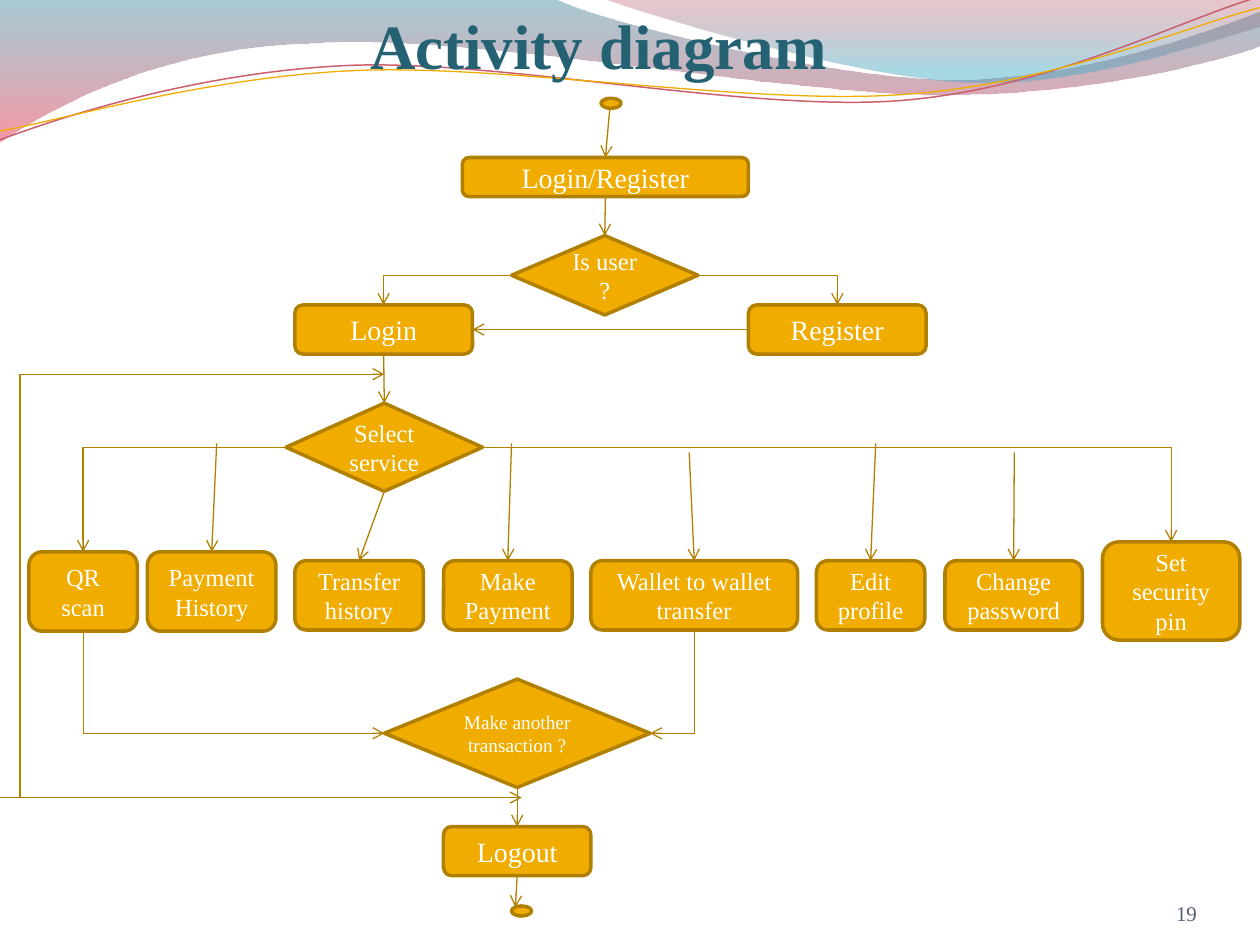
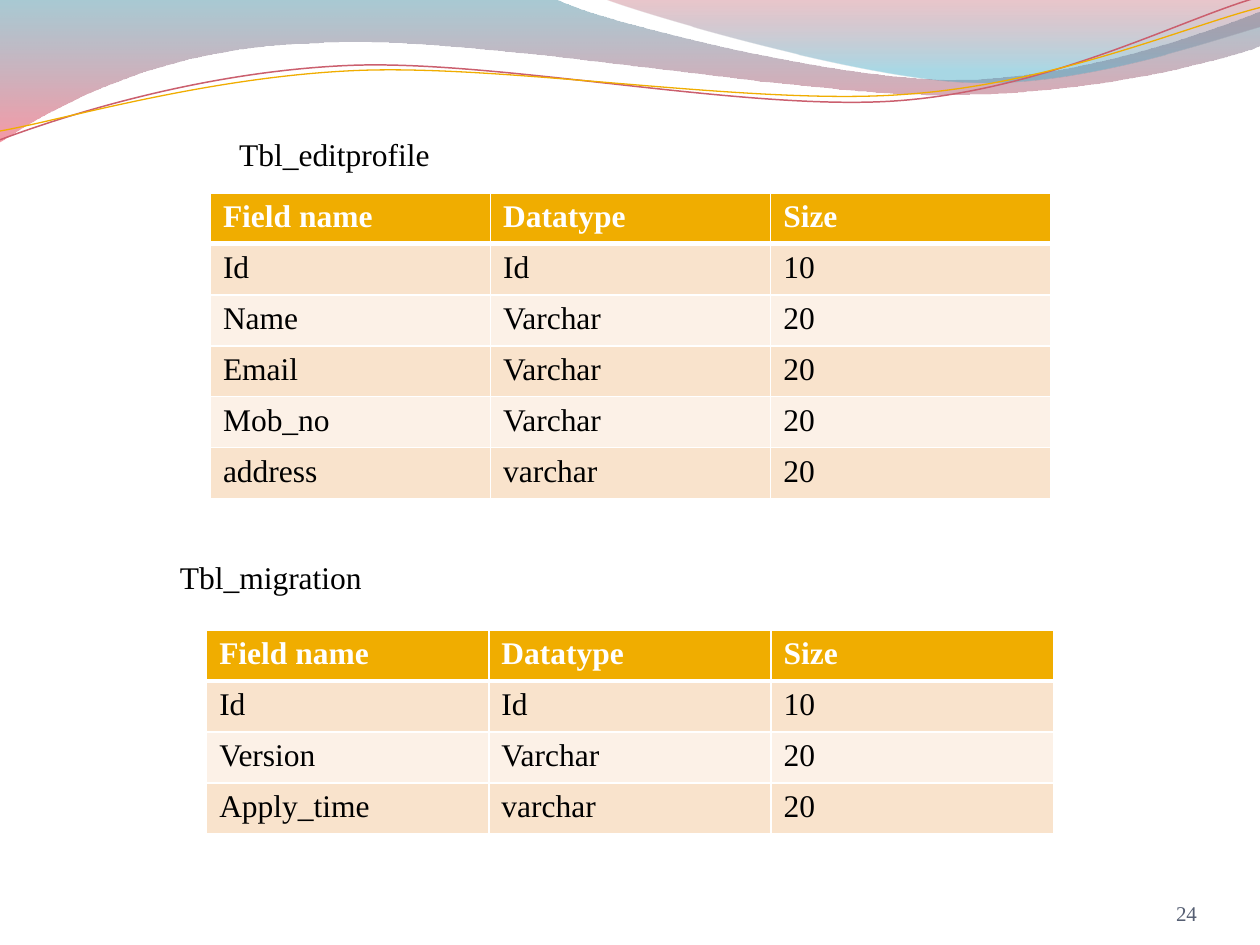
from dataclasses import dataclass

from lxml import etree
from pptx import Presentation
from pptx.dml.color import RGBColor
from pptx.enum import shapes, text
from pptx.oxml.ns import qn
from pptx.util import Inches, Pt

SHAPE = shapes.MSO_SHAPE
ALIGN = text.PP_ALIGN
ANCHOR = text.MSO_ANCHOR
TOP, LEFT, BOTTOM, RIGHT = range(4)  # connection sites of boxes and diamonds
TITLE_ONLY, BLANK = 5, 6


@dataclass(frozen=True)
class Theme:
    font: str = "Times New Roman"
    amber: str = "F0AD00"
    amber_dark: str = "B28000"
    rose: str = "CB5F6E"
    title: str = "246172"
    number: str = "565F73"
    white: str = "FFFFFF"
    black: str = "000000"
    bands: tuple = ("F9E3CC", "FCF1E7")
    title_size: int = 36
    table_size: int = 18
    step_size: int = 16
    service_size: int = 14
    number_size: int = 12
    question_size: int = 11


THEME = Theme()

# Each outline is a start point, then one point per line or three per curve.
# Gradient stops are position, colour and opacity in percent.
WAVE_FILLS = [
    ([(0, 0), [(4.4, -0.01)],
      [(4.76, 0.17), (6.64, 0.63), (7.58, 0.63)],
      [(8.53, 0.63), (9.58, 0.26), (10, 0.09)], [(10.01, 0.36)],
      [(9.83, 0.44), (8.7, 0.76), (7.46, 0.75)],
      [(6.22, 0.75), (3.82, 0.28), (2.57, 0.34)],
      [(1.29, 0.36), (0.46, 0.83), (-0.01, 1.13)], [(0, 0)]],
     [(0, "3F8A9F", 45), (100, "EF445B", 55)]),
    ([(4.79, -0.01),
      [(5.09, 0.11), (6.82, 0.62), (7.69, 0.65)],
      [(8.56, 0.69), (9.61, 0.32), (10, 0.21)], [(10, 0)], [(4.79, -0.01)]],
     [(0, "B84253", 30), (80, "42ABC7", 45)]),
]
WAVE_LINES = [
    ([(0, 1.11),
      [(0.48, 0.93), (1.58, 0.57), (2.77, 0.52)],
      [(3.95, 0.47), (5.93, 0.89), (7.13, 0.8)],
      [(8.33, 0.71), (9.38, 0.15), (9.98, -0.02)]], THEME.rose, 0.85),
    ([(0, 1.04),
      [(0.47, 0.96), (1.64, 0.61), (2.83, 0.56)],
      [(4.03, 0.51), (5.97, 0.84), (7.17, 0.75)],
      [(8.36, 0.67), (9.41, 0.21), (10, 0.06)]], THEME.amber, 0.75),
]


def rgb(value):
    return RGBColor.from_string(value)


def write(frame, words, size, color, bold=False, align=ALIGN.LEFT,
          anchor=ANCHOR.TOP, wrap=True):
    frame.word_wrap = wrap
    frame.vertical_anchor = anchor
    para = frame.paragraphs[0]
    para.alignment = align
    span = para.add_run()
    span.text = words
    span.font.name = THEME.font
    span.font.size = Pt(size)
    span.font.bold = bold
    span.font.color.rgb = rgb(color)


def add_outline(slide, outline, close):
    """Build a freeform through all points, then join each three into a curve."""
    start, *segments = outline
    points = [(Inches(x), Inches(y)) for segment in segments for x, y in segment]
    builder = slide.shapes.build_freeform(*map(Inches, start))
    builder.add_line_segments(points, close=close)
    shape = builder.convert_to_shape()
    shape.shadow.inherit = False
    strokes = iter(list(shape.element.iter(qn("a:lnTo"))))
    for segment in segments:
        first, *others = [next(strokes) for _ in segment]
        if others:
            curve = etree.Element(qn("a:cubicBezTo"))
            first.addprevious(curve)
            for stroke in (first, *others):
                curve.append(stroke[0])
                stroke.getparent().remove(stroke)
    return shape


def add_wave_fill(slide, outline, stops):
    shape = add_outline(slide, outline, True)
    shape.line.fill.background()
    shape.fill.gradient()
    shape.fill.gradient_angle = 270
    for stop, (position, color, _) in zip(shape.fill.gradient_stops, stops):
        stop.position = position / 100
        stop.color.rgb = rgb(color)
    gradient = shape.element.find(".//" + qn("a:gradFill"))
    for node, (_, _, opacity) in zip(gradient.iter(qn("a:srgbClr")), stops):
        etree.SubElement(node, qn("a:alpha")).set("val", str(opacity * 1000))
    return shape


def add_wave_line(slide, outline, color, width):
    shape = add_outline(slide, outline, False)
    shape.fill.background()
    shape.line.color.rgb = rgb(color)
    shape.line.width = Pt(width)
    return shape


def move_waves_to_master(deck, slide):
    """Draw the waves on a slide, then place them behind the master's own parts."""
    waves = [add_wave_fill(slide, *wave) for wave in WAVE_FILLS]
    waves += [add_wave_line(slide, *wave) for wave in WAVE_LINES]
    tree = deck.slide_master.shapes.element
    for index, wave in enumerate(waves):
        wave.element.find(".//" + qn("p:cNvPr")).set("id", str(101 + index))
        tree.insert(2 + index, wave.element)


def add_label(slide, words, left, top, width, height, **style):
    box = slide.shapes.add_textbox(*map(Inches, (left, top, width, height)))
    write(box.text_frame, words, **style)
    return box


def add_slide_number(slide, number):
    box = add_label(slide, str(number), 8.67, 6.95, 0.83, 0.4,
                    size=THEME.number_size, color=THEME.number,
                    align=ALIGN.RIGHT, anchor=ANCHOR.BOTTOM)
    frame = box.text_frame
    frame.margin_left = frame.margin_right = frame.margin_top = frame.margin_bottom = 0


def set_title(slide, words, left, top, width, height):
    title = slide.shapes.title
    title.left, title.top, title.width, title.height = map(
        Inches, (left, top, width, height))
    write(title.text_frame, words, THEME.title_size, THEME.title, bold=True,
          align=ALIGN.CENTER, wrap=False)


def add_node(slide, kind, left, top, width, height, words="", size=THEME.step_size):
    node = slide.shapes.add_shape(kind, *map(Inches, (left, top, width, height)))
    node.shadow.inherit = False
    node.fill.solid()
    node.fill.fore_color.rgb = rgb(THEME.amber)
    node.line.color.rgb = rgb(THEME.amber_dark)
    node.line.width = Pt(2)
    if words:
        write(node.text_frame, words, size, THEME.white, align=ALIGN.CENTER,
              anchor=ANCHOR.MIDDLE)
    return node


def is_point(end):
    return isinstance(end[0], (int, float))


def locate(end):
    """Give the EMU point of an end: a point in inches, or a node and its site."""
    if is_point(end):
        return Inches(end[0]), Inches(end[1])
    node, site = end
    x = node.left + {LEFT: 0, RIGHT: node.width}.get(site, node.width // 2)
    y = node.top + {TOP: 0, BOTTOM: node.height}.get(site, node.height // 2)
    return x, y


def style_line(line, arrow):
    line.line.color.rgb = rgb(THEME.amber_dark)
    line.line.width = Pt(0.75)
    if arrow:
        stroke = line.element.find(".//" + qn("a:ln"))
        etree.SubElement(stroke, qn("a:tailEnd")).set("type", "arrow")
    etree.SubElement(line.element.find(qn("p:spPr")), qn("a:effectLst"))


def add_line(slide, start, end, arrow=True):
    line = slide.shapes.add_connector(
        shapes.MSO_CONNECTOR.STRAIGHT, *locate(start), *locate(end))
    if not is_point(start):
        line.begin_connect(*start)
    if not is_point(end):
        line.end_connect(*end)
    style_line(line, arrow)


def add_bend(slide, start, end, down_first=False):
    """Add an arrow with one corner; a downward start needs a quarter turn."""
    (x1, y1), (x2, y2) = locate(start), locate(end)
    turn = 0
    if down_first:
        turn = 270 if x2 > x1 else 90
        middle_x, middle_y = (x1 + x2) // 2, (y1 + y2) // 2
        half_run, half_drop = abs(x2 - x1) // 2, (y2 - y1) // 2
        if x1 > x2:
            half_drop = -half_drop
        x1, x2 = middle_x + half_drop, middle_x - half_drop
        y1, y2 = middle_y - half_run, middle_y + half_run
    bend = slide.shapes.add_connector(shapes.MSO_CONNECTOR.ELBOW, x1, y1, x2, y2)
    bend.element.find(".//" + qn("a:prstGeom")).set("prst", "bentConnector2")
    if turn:
        bend.element.find(".//" + qn("a:xfrm")).set("rot", str(turn * 60000))
    style_line(bend, True)


def set_borders(cell, top, bottom):
    properties = cell._tc.get_or_add_tcPr()
    widths = {"a:lnL": 1, "a:lnR": 1, "a:lnT": top, "a:lnB": bottom}
    for index, (tag, width) in enumerate(widths.items()):
        border = etree.Element(qn(tag), w=str(Pt(width)))
        fill = etree.SubElement(border, qn("a:solidFill"))
        etree.SubElement(fill, qn("a:srgbClr")).set("val", THEME.white)
        properties.insert(index, border)


def add_field_table(slide, left, top, width, height, fields):
    rows = [("Field name", "Datatype", "Size"), *fields]
    table = slide.shapes.add_table(
        len(rows), 3, *map(Inches, (left, top, width, height))).table
    table.horz_banding = False
    for r, row in enumerate(rows):
        header = r == 0
        for c, words in enumerate(row):
            cell = table.cell(r, c)
            cell.fill.solid()
            cell.fill.fore_color.rgb = rgb(THEME.amber if header else THEME.bands[(r - 1) % 2])
            write(cell.text_frame, words, THEME.table_size,
                  THEME.white if header else THEME.black, bold=header)
            set_borders(cell, top=3 if r == 1 else 1, bottom=3 if header else 1)


def draw_activity(slide):
    set_title(slide, "Activity diagram", 2.82, 0, 3.86, 0.71)
    box, diamond = SHAPE.ROUNDED_RECTANGLE, SHAPE.DIAMOND
    small = THEME.service_size
    for left, top in ((4.77, 0.78), (4.06, 7.19)):
        add_node(slide, SHAPE.OVAL, left, top, 0.16, 0.08)
    entry = add_node(slide, box, 3.67, 1.25, 2.27, 0.31, "Login/Register")
    is_user = add_node(slide, diamond, 4.06, 1.87, 1.48, 0.63, "Is user ?", small)
    login = add_node(slide, box, 2.34, 2.42, 1.41, 0.39, "Login")
    register = add_node(slide, box, 5.94, 2.42, 1.41, 0.39, "Register")
    select = add_node(slide, diamond, 2.27, 3.2, 1.56, 0.7, "Select service", small)
    again = add_node(slide, diamond, 3.05, 5.39, 2.11, 0.86,
                     "Make another transaction ?", THEME.question_size)
    logout = add_node(slide, box, 3.52, 6.56, 1.17, 0.39, "Logout")
    services = [add_node(slide, box, *place, words, small) for words, *place in (
        ("QR scan", 0.23, 4.38, 0.86, 0.63),
        ("Payment History", 1.17, 4.38, 1.02, 0.63),
        ("Transfer history", 2.34, 4.45, 1.02, 0.55),
        ("Make Payment", 3.52, 4.45, 1.02, 0.55),
        ("Wallet to wallet transfer", 4.69, 4.45, 1.64, 0.55),
        ("Edit profile", 6.48, 4.45, 0.86, 0.55),
        ("Change password", 7.5, 4.45, 1.09, 0.55),
        ("Set security pin", 8.75, 4.3, 1.09, 0.78))]
    scan, history, transfers, payment, wallet, profile, password, pin = services

    for start, end in (
            ((4.84, 0.86), (entry, TOP)), ((entry, BOTTOM), (is_user, TOP)),
            ((register, LEFT), (login, RIGHT)), ((login, BOTTOM), (select, TOP)),
            ((select, BOTTOM), (transfers, TOP)), ((1.72, 3.52), (history, TOP)),
            ((4.06, 3.52), (payment, TOP)), ((5.47, 3.59), (wallet, TOP)),
            ((6.95, 3.52), (profile, TOP)), ((8.05, 3.59), (password, TOP)),
            ((again, BOTTOM), (logout, TOP)), ((logout, BOTTOM), (4.09, 7.2)),
            ((0.16, 2.97), (3.05, 2.97)), ((0, 6.33), (4.14, 6.33))):
        add_line(slide, start, end)
    add_line(slide, (0.16, 2.97), (0.16, 6.33), arrow=False)
    for start, end in (
            ((is_user, LEFT), (login, TOP)), ((is_user, RIGHT), (register, TOP)),
            ((select, LEFT), (scan, TOP)), ((select, RIGHT), (pin, TOP))):
        add_bend(slide, start, end)
    add_bend(slide, (scan, BOTTOM), (again, LEFT), down_first=True)
    add_bend(slide, (wallet, BOTTOM), (again, RIGHT), down_first=True)


def draw_tables(slide):
    label = dict(size=THEME.table_size, color=THEME.black, wrap=False)
    add_label(slide, "Tbl_editprofile", 1.8, 1.02, 1.73, 0.4, **label)
    add_field_table(slide, 1.67, 1.53, 6.67, 2.43, [
        ("Id", "Id", "10"), ("Name", "Varchar", "20"), ("Email", "Varchar", "20"),
        ("Mob_no", "Varchar", "20"), ("address", "varchar", "20")])
    add_label(slide, "Tbl_migration", 1.33, 4.38, 1.66, 0.4, **label)
    add_field_table(slide, 1.64, 5, 6.72, 1.62, [
        ("Id", "Id", "10"), ("Version", "Varchar", "20"), ("Apply_time", "varchar", "20")])


def main():
    deck = Presentation()
    deck.slide_width, deck.slide_height = Inches(10), Inches(7.5)
    pages = ((TITLE_ONLY, draw_activity, 19), (BLANK, draw_tables, 24))
    for layout, draw, number in pages:
        slide = deck.slides.add_slide(deck.slide_layouts[layout])
        draw(slide)
        add_slide_number(slide, number)
    move_waves_to_master(deck, slide)
    deck.save("out.pptx")


if __name__ == "__main__":
    main()
